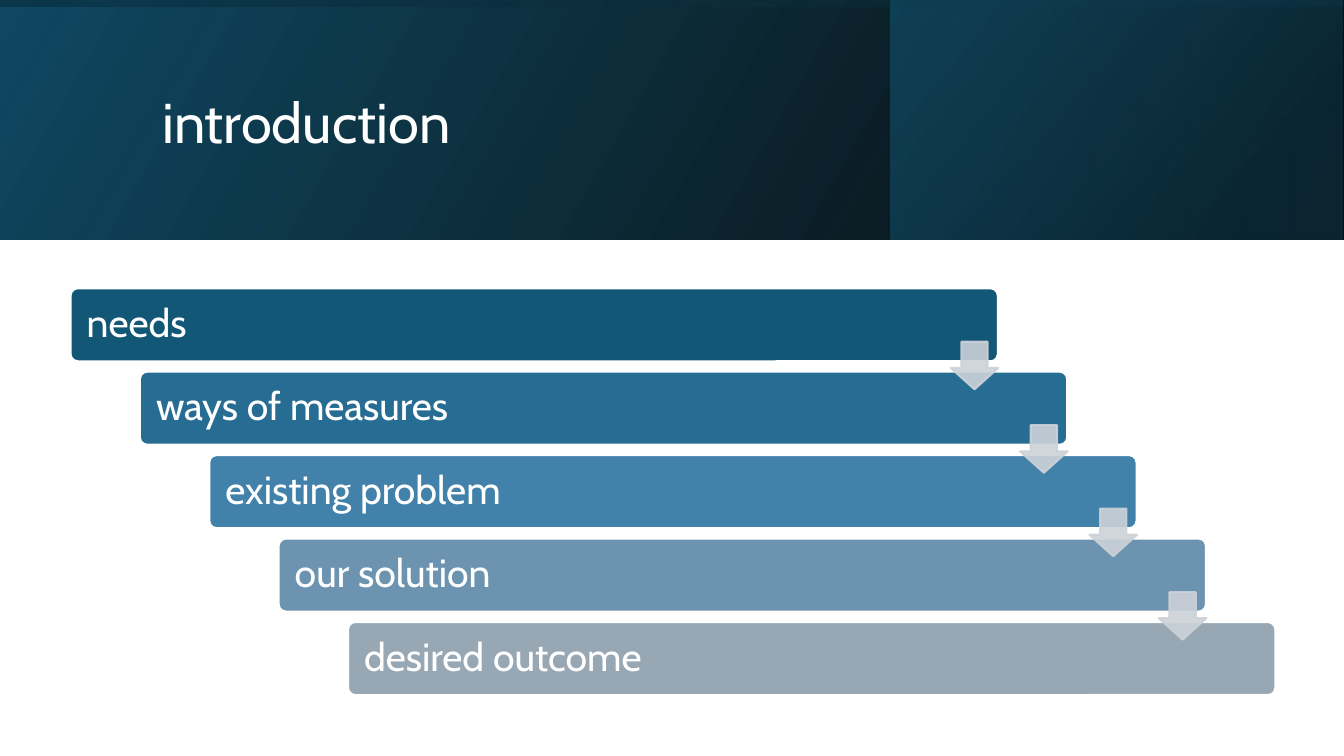
import lxml.etree
import pptx
import pptx.dml.color
import pptx.enum.shapes
import pptx.enum.text
import pptx.oxml.ns
import pptx.util

Pt = pptx.util.Pt
SHAPES = pptx.enum.shapes.MSO_SHAPE
WHITE = "FFFFFF"
SILVER = "CCD2D8"
HEADER_HEIGHT = 170.9
STEP_RIGHT = 49.55
STEP_DOWN = 59.6
STEPS = [
    ("needs", "135776"),
    ("ways of measures", "276D93"),
    ("existing problem", "4281A9"),
    ("our solution", "6C93AF"),
    ("desired outcome", "98A7B4"),
]


def rgb(value):
    """Return the colour for a hex string."""
    return pptx.dml.color.RGBColor.from_string(value)


def set_opacity(shape, percentages):
    """Give each fill and line colour of a shape its opacity in percent."""
    qualify = pptx.oxml.ns.qn
    colours = shape._element.spPr.iter(qualify("a:srgbClr"))
    for colour, percentage in zip(colours, percentages):
        alpha = lxml.etree.SubElement(colour, qualify("a:alpha"))
        alpha.set("val", str(percentage * 1000))


def add_plain_shape(slide, kind, left, top, width, height):
    """Add a preset shape without a shadow."""
    shape = slide.shapes.add_shape(kind, Pt(left), Pt(top), Pt(width), Pt(height))
    shape.shadow.inherit = False
    return shape


def paint(shape, fill, line):
    """Set a solid fill and a line of 1.5 points."""
    shape.fill.solid()
    shape.fill.fore_color.rgb = rgb(fill)
    shape.line.color.rgb = rgb(line)
    shape.line.width = Pt(1.5)


def write(shape, text, size):
    """Put one left-aligned white line of text in a shape."""
    frame = shape.text_frame
    frame.text = text
    frame.word_wrap = True
    frame.auto_size = pptx.enum.text.MSO_AUTO_SIZE.NONE
    frame.vertical_anchor = pptx.enum.text.MSO_ANCHOR.MIDDLE
    paragraph = frame.paragraphs[0]
    paragraph.alignment = pptx.enum.text.PP_ALIGN.LEFT
    paragraph.line_spacing = 0.9
    font = paragraph.runs[0].font
    font.name = "Cabin"
    font.size = Pt(size)
    font.color.rgb = rgb(WHITE)


def add_header_band(slide, left, width, angle, stops):
    """Add a translucent gradient band; stops hold position, colour, opacity."""
    band = add_plain_shape(slide, SHAPES.RECTANGLE, left, 0, width, HEADER_HEIGHT)
    band.line.fill.background()
    band.fill.gradient()
    band.fill.gradient_angle = angle
    for stop, (position, colour, _) in zip(band.fill.gradient_stops, stops):
        stop.position = position
        stop.color.rgb = rgb(colour)
    set_opacity(band, [opacity for _, _, opacity in stops])


def add_title(slide, text):
    """Place the title placeholder in front of the header bands."""
    title = slide.shapes.title
    title.left, title.top = Pt(108.7), Pt(27.4)
    title.width, title.height = Pt(765.4), Pt(123.8)
    write(title, text, 40)
    slide.shapes._spTree.append(title._element)


def add_step(slide, index, text, colour):
    """Add one bar of the staircase."""
    left, top = 50.4 + index * STEP_RIGHT, 205.9 + index * STEP_DOWN
    bar = add_plain_shape(slide, SHAPES.ROUNDED_RECTANGLE, left, top, 662.4, 52.2)
    bar.adjustments[0] = 0.1
    paint(bar, colour, WHITE)
    write(bar, text, 28)
    bar.text_frame.margin_left = Pt(10)


def add_step_arrow(slide, index):
    """Add the arrow from one bar down to the next."""
    left, top = 679.1 + index * STEP_RIGHT, 244.1 + index * STEP_DOWN
    arrow = add_plain_shape(slide, SHAPES.DOWN_ARROW, left, top, 34, 34)
    arrow.adjustments[0] = 0.55
    arrow.adjustments[1] = 0.45
    paint(arrow, SILVER, SILVER)
    set_opacity(arrow, [90, 90])


def main():
    """Build the introduction slide."""
    presentation = pptx.Presentation()
    presentation.slide_width, presentation.slide_height = Pt(960), Pt(540)
    slide = presentation.slides.add_slide(presentation.slide_layouts[5])
    add_header_band(slide, 0, 960, 330, [(0, "104862", 100), (1, "000000", 96)])
    add_header_band(slide, 636.2, 323, 320, [(0, "156082", 48), (0.81, "0B3041", 68)])
    add_header_band(slide, 0, 960, 260, [(0.01, "104862", 16), (0.77, "000000", 45)])
    add_title(slide, "introduction")
    for index, (text, colour) in enumerate(STEPS):
        add_step(slide, index, text, colour)
    for index in range(len(STEPS) - 1):
        add_step_arrow(slide, index)
    presentation.save("out.pptx")


if __name__ == "__main__":
    main()
